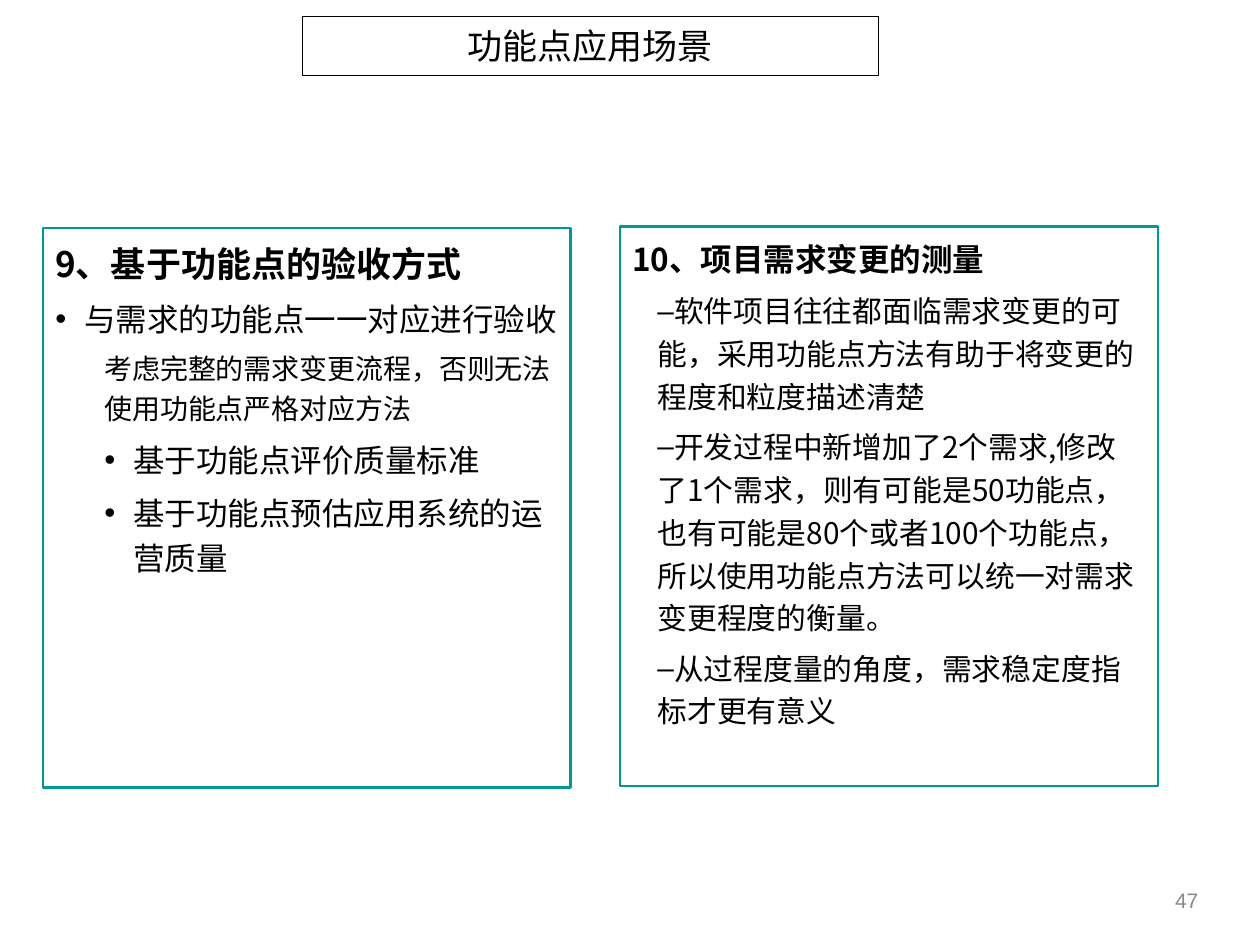
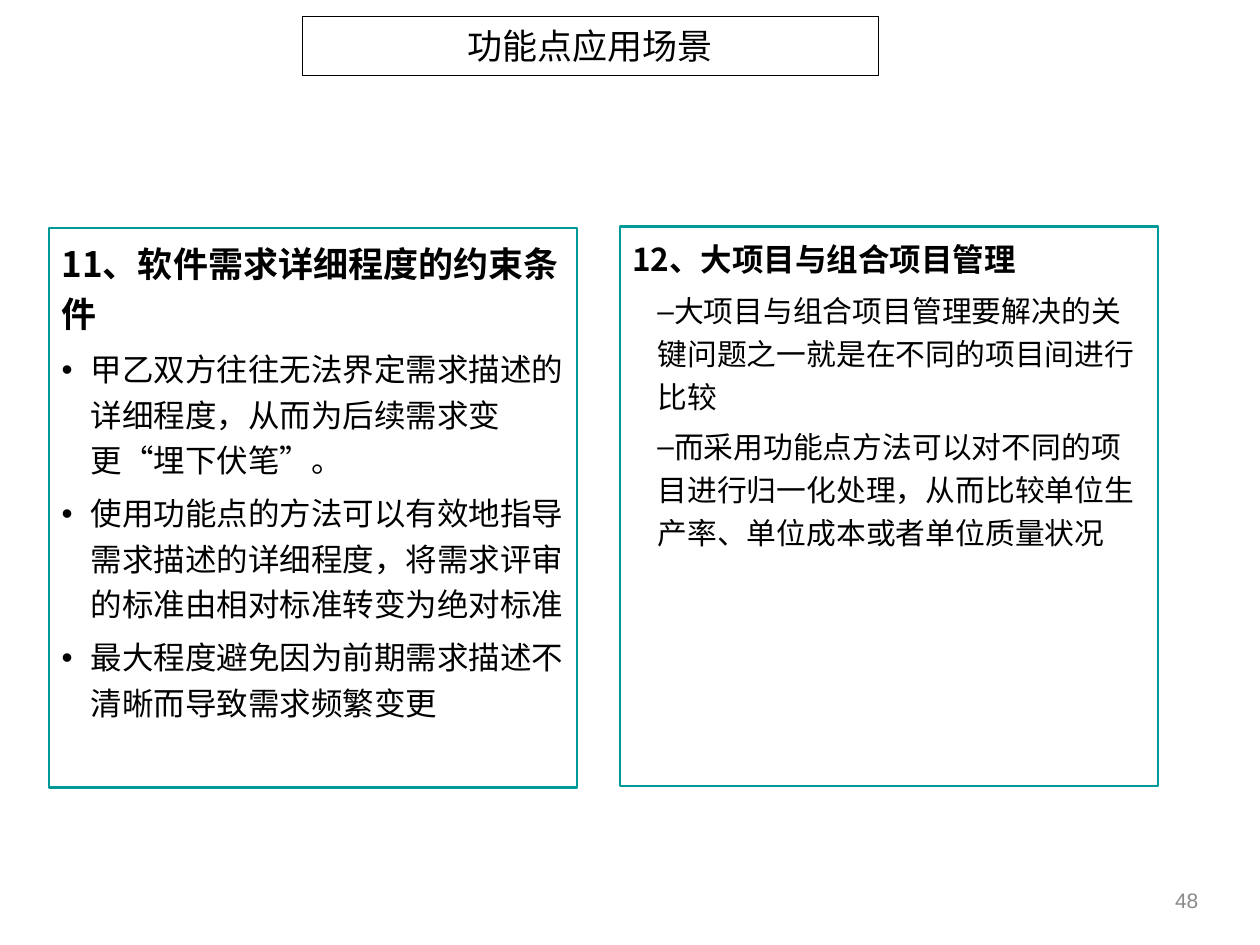
from lxml import etree
from pptx import Presentation
from pptx.dml.color import RGBColor
from pptx.enum.shapes import MSO_SHAPE
from pptx.enum.text import MSO_ANCHOR, MSO_AUTO_SIZE, PP_ALIGN
from pptx.oxml.ns import qn
from pptx.util import Inches, Pt

# Shared look
BLACK, WHITE, TEAL, GREY = "000000", "FFFFFF", "009999", "898989"
CHINESE_FONT, LATIN_FONT = "Noto Sans CJK SC", "Arial"
TITLE = "功能点应用场景"
PANEL_HEIGHT = 4.44

# Paragraph styles: size, bold, left margin, first-line indent, bullet, space before
STYLES = {
    "left heading": (20, True, 0, 0, None, 0),
    "right heading": (18, True, 0, 0, None, 0),
    "bullet": (18, False, 0.23, -0.23, "•", 4.5),
    "note": (16, False, 0.39, 0, None, 4),
    "nested bullet": (18, False, 0.62, -0.23, "•", 4.5),
    "dash": (17, False, 0.2, 0, "–", 4.2),
}

# Content of each page: number, left edge of the left panel, left and right text
PAGES = [
    ("47", 0.34, [
        ("left heading", "9、基于功能点的验收方式"),
        ("bullet", "与需求的功能点一一对应进行验收"),
        ("note", "考虑完整的需求变更流程，否则无法使用功能点严格对应方法"),
        ("nested bullet", "基于功能点评价质量标准"),
        ("nested bullet", "基于功能点预估应用系统的运营质量"),
    ], [
        ("right heading", "10、项目需求变更的测量"),
        ("dash", "软件项目往往都面临需求变更的可能，采用功能点方法有助于将变更的程度和粒度描述清楚"),
        ("dash", "开发过程中新增加了2个需求,修改了1个需求，则有可能是50功能点，也有可能是80个或者100个功能点，"
                 "所以使用功能点方法可以统一对需求变更程度的衡量。"),
        ("dash", "从过程度量的角度，需求稳定度指标才更有意义"),
    ]),
    ("48", 0.39, [
        ("left heading", "11、软件需求详细程度的约束条件"),
        ("bullet", "甲乙双方往往无法界定需求描述的详细程度，从而为后续需求变更“埋下伏笔”。"),
        ("bullet", "使用功能点的方法可以有效地指导需求描述的详细程度，将需求评审的标准由相对标准转变为绝对标准"),
        ("bullet", "最大程度避免因为前期需求描述不清晰而导致需求频繁变更"),
    ], [
        ("right heading", "12、大项目与组合项目管理"),
        ("dash", "大项目与组合项目管理要解决的关键问题之一就是在不同的项目间进行比较"),
        ("dash", "而采用功能点方法可以对不同的项目进行归一化处理，从而比较单位生产率、单位成本或者单位质量状况"),
    ]),
]


def color(hex_code):
    return RGBColor.from_string(hex_code)


def add_span(para, text, size, font=CHINESE_FONT, ink=BLACK, bold=False):
    span = para.add_run()
    span.text = text
    span.font.name = font
    span.font.size = Pt(size)
    span.font.bold = bold
    span.font.color.rgb = color(ink)
    east_asian = etree.SubElement(span.font._element, qn("a:ea"))
    east_asian.set("typeface", font)


deck = Presentation()
deck.slide_width, deck.slide_height = Inches(10), Inches(7.5)

for number, left_edge, left_text, right_text in PAGES:
    page = deck.slides.add_slide(deck.slide_layouts[5])

    # Framed title
    title = page.shapes.title
    title.left, title.top = Inches(2.4), Inches(0.13)
    title.width, title.height = Inches(4.57), Inches(0.47)
    title.fill.solid()
    title.fill.fore_color.rgb = color(WHITE)
    title.line.color.rgb = color(BLACK)
    title.line.width = Pt(0.75)
    title.text_frame.auto_size = MSO_AUTO_SIZE.NONE
    title.text_frame.vertical_anchor = MSO_ANCHOR.MIDDLE
    para = title.text_frame.paragraphs[0]
    para.alignment = PP_ALIGN.CENTER
    add_span(para, TITLE, 20)

    # Two text panels
    for left, top, width, entries in [(4.92, 1.8, 4.27, right_text),
                                      (left_edge, 1.81, 4.19, left_text)]:
        panel = page.shapes.add_shape(MSO_SHAPE.RECTANGLE, Inches(left), Inches(top),
                                      Inches(width), Inches(PANEL_HEIGHT))
        panel.shadow.inherit = False
        panel.fill.solid()
        panel.fill.fore_color.rgb = color(WHITE)
        panel.line.color.rgb = color(TEAL)
        panel.line.width = Pt(1.5)
        frame = panel.text_frame
        frame.word_wrap = True
        frame.vertical_anchor = MSO_ANCHOR.TOP
        for index, (style, text) in enumerate(entries):
            size, bold, margin, indent, bullet, space = STYLES[style]
            para = frame.paragraphs[0] if index == 0 else frame.add_paragraph()
            properties = para._p.get_or_add_pPr()
            properties.set("marL", str(Inches(margin)))
            properties.set("indent", str(Inches(indent)))
            if bullet:
                bullet_color = etree.SubElement(properties, qn("a:buClr"))
                etree.SubElement(bullet_color, qn("a:srgbClr")).set("val", BLACK)
                etree.SubElement(properties, qn("a:buFont")).set("typeface", LATIN_FONT)
                etree.SubElement(properties, qn("a:buChar")).set("char", bullet)
            para.alignment = PP_ALIGN.LEFT
            para.line_spacing = 1.2
            para.space_before = Pt(space)
            add_span(para, text, size, bold=bold)

    # Page number
    box = page.shapes.add_textbox(Inches(7.28), Inches(6.88), Inches(2.33), Inches(0.52))
    box.text_frame.word_wrap = True
    box.text_frame.vertical_anchor = MSO_ANCHOR.MIDDLE
    para = box.text_frame.paragraphs[0]
    para.alignment = PP_ALIGN.RIGHT
    add_span(para, number, 12, LATIN_FONT, GREY)

deck.save("out.pptx")
